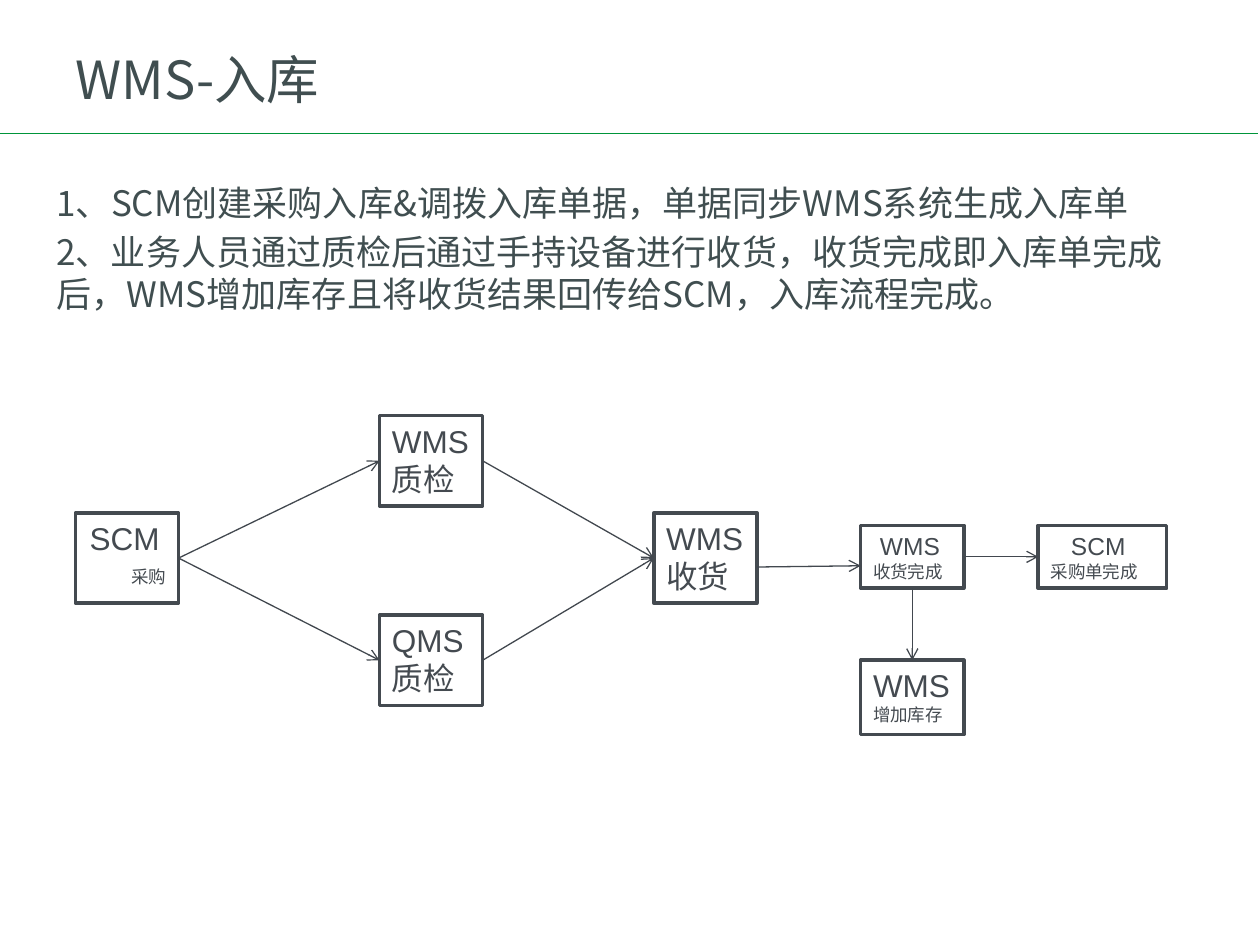
from lxml import etree
from pptx import Presentation
from pptx.dml.color import RGBColor
from pptx.enum.shapes import MSO_CONNECTOR, MSO_SHAPE
from pptx.enum.text import MSO_ANCHOR, PP_ALIGN
from pptx.oxml.ns import qn
from pptx.util import Cm, Pt

RECTANGLE = MSO_SHAPE.RECTANGLE
STRAIGHT = MSO_CONNECTOR.STRAIGHT
TOP, MIDDLE = MSO_ANCHOR.TOP, MSO_ANCHOR.MIDDLE
LEFT, RIGHT = PP_ALIGN.LEFT, PP_ALIGN.RIGHT

COLORS = {"text": "404E50", "rule": "00953A", "box": "444A50",
          "arrow": "42484F", "white": "FFFFFF"}
CJK_FONT, BOX_FONT = "Noto Sans CJK SC", "Arial"
TITLE = "WMS-入库"
STEPS = [
    "1、SCM创建采购入库&调拨入库单据，单据同步WMS系统生成入库单",
    "2、业务人员通过质检后通过手持设备进行收货，收货完成即入库单完成后，"
    "WMS增加库存且将收货结果回传给SCM，入库流程完成。",
]
STANDARD, SMALL = (2.08, 1.82), (2.08, 1.27)
NODES = {
    "purchase": ((0, 1.96), STANDARD, ("SCM", 18), ("采购", 10)),
    "wms_check": ((6.13, 0), STANDARD, ("WMS", 18), ("质检", 18)),
    "qms_check": ((6.13, 4.02), STANDARD, ("QMS", 18), ("质检", 18)),
    "receive": ((11.66, 1.96), STANDARD, ("WMS", 18), ("收货", 18)),
    "received": ((15.83, 2.21), SMALL, ("WMS", 14), ("收货完成", 10)),
    "order_done": ((19.41, 2.21), (2.59, 1.27), ("SCM", 14), ("采购单完成", 10)),
    "stock": ((15.83, 4.93), (2.08, 1.5), ("WMS", 18), ("增加库存", 10)),
}
PARAGRAPH_FORMATS = {
    ("purchase", 1): {"alignment": RIGHT, "space_before": Pt(5)},
}
INDENTS = {"purchase": 0.04, "received": 0.14, "order_done": 0.41}
ACROSS_LINKS = [
    ("purchase", "qms_check", 0), ("purchase", "wms_check", 0),
    ("wms_check", "receive", 0), ("qms_check", "receive", 0),
    ("receive", "received", 0.18), ("received", "order_done", 0),
]


def color(name):
    return RGBColor.from_string(COLORS[name])


def apply(target, formats):
    for name, value in formats.items():
        setattr(target, name, value)


def write(para, text, size, font, tint):
    span = para.add_run()
    span.text = text
    apply(span.font, {"name": font, "size": Pt(size)})
    span.font.color.rgb = color(tint)
    east_asian = etree.SubElement(span.font._element, qn("a:ea"))
    east_asian.set("typeface", font)


def add_line(page, start, end, tint, width, arrow=False):
    line = page.shapes.add_connector(STRAIGHT, *start, *end)
    line.line.color.rgb = color(tint)
    line.line.width = Pt(width)
    if arrow:
        etree.SubElement(line.line._get_or_add_ln(), qn("a:tailEnd"), type="arrow")
    etree.SubElement(line._element.spPr, qn("a:effectLst"))


def add_text(page, left, top, width, height, paragraphs, size, anchor, formats):
    box = page.shapes.add_textbox(Cm(left), Cm(top), Cm(width), Cm(height))
    frame = box.text_frame
    apply(frame, {"word_wrap": True, "vertical_anchor": anchor})
    for index, text in enumerate(paragraphs):
        para = frame.paragraphs[0] if index == 0 else frame.add_paragraph()
        apply(para, formats)
        if index:
            para.space_before = Pt(4)
        write(para, text, size, CJK_FONT, "text")


def add_header(page, left, top, width, height):
    rule = Cm(top + height + 0.25)
    add_line(page, (0, rule), (Cm(25.35), rule), "rule", 1)
    add_text(page, left, top, width, height, [TITLE], 30, MIDDLE, {})


def add_node(page, name, left, top, size, lines):
    node = page.shapes.add_shape(RECTANGLE, Cm(left), Cm(top), *map(Cm, size))
    node.shadow.inherit = False
    node.fill.solid()
    node.fill.fore_color.rgb = color("white")
    node.line.color.rgb = color("box")
    node.line.width = Pt(2)
    frame = node.text_frame
    apply(frame, {"word_wrap": True, "vertical_anchor": TOP})
    for index, (text, points) in enumerate(lines):
        para = frame.paragraphs[0] if index == 0 else frame.add_paragraph()
        apply(para, {"alignment": LEFT, **PARAGRAPH_FORMATS.get((name, index), {})})
        if index == 0 and name in INDENTS:
            para._p.get_or_add_pPr().set("marL", str(Cm(INDENTS[name])))
        write(para, text, points, BOX_FONT, "box")
    return node


def link_across(page, source, target, shift):
    start = (source.left + source.width, source.top + source.height // 2 + Cm(shift))
    end = (target.left, target.top + target.height // 2 + Cm(shift))
    add_line(page, start, end, "arrow", 0.75, True)


def link_down(page, source, target):
    center = source.left + source.width // 2
    add_line(page, (center, source.top + source.height), (center, target.top),
             "arrow", 0.75, True)


def add_flow(page, left, top):
    nodes = {}
    for name, ((x, y), size, *lines) in NODES.items():
        nodes[name] = add_node(page, name, left + x, top + y, size, lines)
    for source, target, shift in ACROSS_LINKS:
        link_across(page, nodes[source], nodes[target], shift)
    link_down(page, nodes["received"], nodes["stock"])


def main():
    deck = Presentation()
    apply(deck, {"slide_width": Cm(25.4), "slide_height": Cm(19.05)})
    page = deck.slides.add_slide(deck.slide_layouts[6])
    add_header(page, 1.27, 0.71, 16.56, 1.73)
    add_text(page, 0.89, 3.53, 23.24, 12.8, STEPS, 20, TOP, {"line_spacing": Pt(24)})
    add_flow(page, 1.52, 8.38)
    deck.save("out.pptx")


if __name__ == "__main__":
    main()
